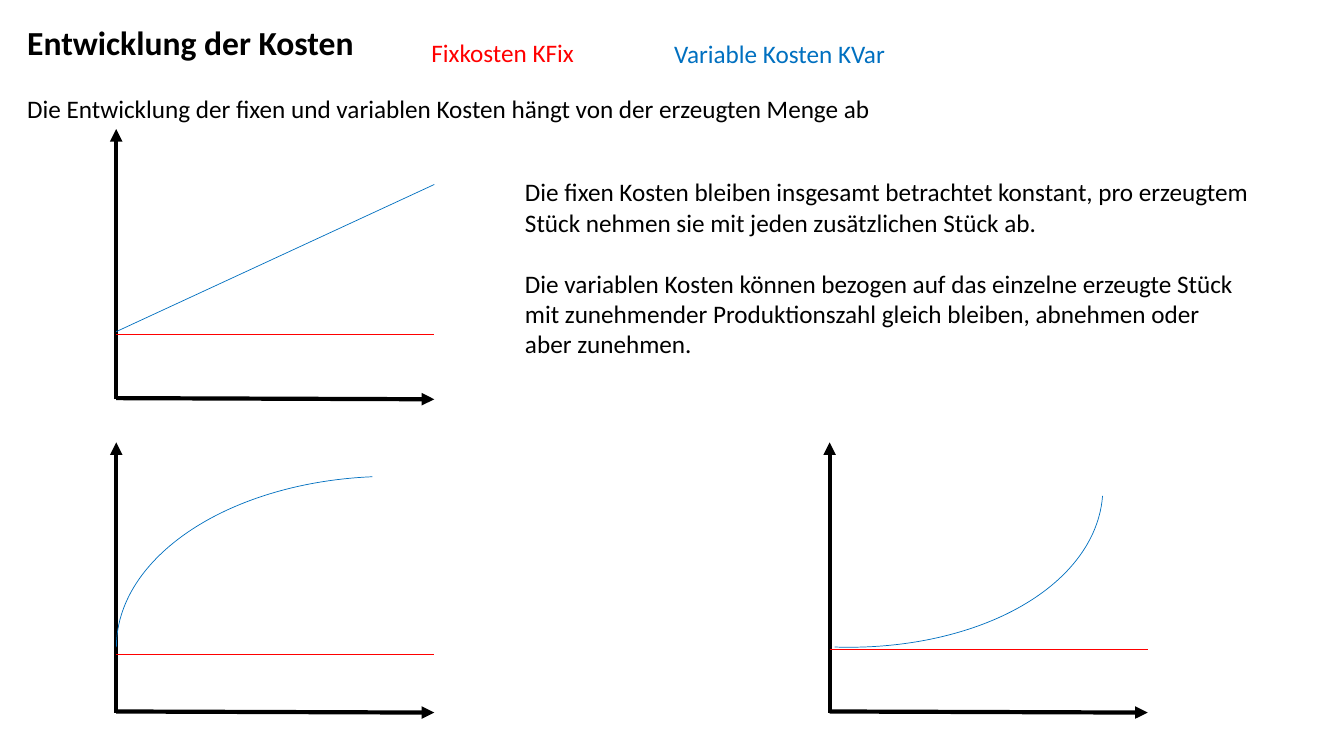
from lxml import etree
from pptx import Presentation
from pptx.dml.color import RGBColor
from pptx.enum import shapes, text
from pptx.oxml import ns
from pptx.util import Pt

BLACK = RGBColor(0x00, 0x00, 0x00)
RED = RGBColor(0xFF, 0x00, 0x00)
BLUE = RGBColor(0x00, 0x70, 0xC0)


def add_line(parent, start, end, color, width, arrow=False):
    """Draw a straight line without shadow, with an arrowhead at its end if asked."""
    line = parent.add_connector(shapes.MSO_CONNECTOR.STRAIGHT,
                                *[Pt(value) for value in start + end])
    line.line.color.rgb = color
    line.line.width = Pt(width)
    if arrow:
        etree.SubElement(line.line._get_or_add_ln(), ns.qn("a:tailEnd"), type="triangle")
    etree.SubElement(line._element.spPr, ns.qn("a:effectLst"))


def write(frame, lines, color, gap=22):
    """Write left-aligned paragraphs, one blank line's height apart."""
    frame.word_wrap = True
    frame.vertical_anchor = text.MSO_ANCHOR.TOP
    frame.auto_size = text.MSO_AUTO_SIZE.SHAPE_TO_FIT_TEXT
    frame.text = "\n".join(lines)
    for index, paragraph in enumerate(frame.paragraphs):
        paragraph.alignment = text.PP_ALIGN.LEFT
        paragraph.space_before = Pt(gap if index else 0)
        paragraph.font.name = "Calibri"
        paragraph.font.size = Pt(18)
        paragraph.font.bold = False
        paragraph.font.color.rgb = color


prs = Presentation()
prs.slide_width, prs.slide_height = Pt(960), Pt(540)
slide = prs.slides.add_slide(prs.slide_layouts[5])

# Heading and introduction
title = slide.shapes.title
title.left, title.top, title.width, title.height = Pt(12.2), Pt(12.2), Pt(934), Pt(80)
write(title.text_frame, [
    "Entwicklung der Kosten",
    "Die Entwicklung der fixen und variablen Kosten hängt von der erzeugten Menge ab",
], BLACK)
heading = title.text_frame.paragraphs[0]
heading.font.size = Pt(24)
heading.font.bold = True

# Axes and fixed cost line: origin x, origin y, height of the fixed costs
AXIS_WIDTH, AXIS_HEIGHT = 227.2, 193
diagrams = [(83, 285.2, 46.2), (592.6, 509, 45.3), (83, 509, 41.7)]
for x, y, _ in diagrams:
    axes = slide.shapes.add_group_shape().shapes
    add_line(axes, (x, y - 0.8), (x + AXIS_WIDTH, y), BLACK, 3, arrow=True)
    add_line(axes, (x, y), (x, y - AXIS_HEIGHT), BLACK, 3, arrow=True)
for x, y, fixed in diagrams:
    add_line(slide.shapes, (x, y - fixed), (x + AXIS_WIDTH, y - fixed), RED, 0.5)

# Variable costs: proportional, degressive, progressive
add_line(slide.shapes, (83, 236.9), (83 + AXIS_WIDTH, 131.8), BLUE, 0.5)
for left, top, rotation in [(157, 266.4, 270), (470.2, 144, 94.2)]:
    curve = slide.shapes.add_shape(shapes.MSO_SHAPE.ARC,
                                   Pt(left), Pt(top), Pt(244), Pt(391.7))
    curve.rotation = rotation
    curve.adjustments[0] = 162
    curve.adjustments[1] = 212.36
    curve.fill.background()
    curve.line.color.rgb = BLUE
    curve.line.width = Pt(0.5)
    curve.shadow.inherit = False

# Legend and explanation
for left, top, width, height, color, lines in [
    (301, 23.2, 117.4, 29, RED, ["Fixkosten KFix"]),
    (474.5, 23.6, 183.6, 29, BLUE, ["Variable Kosten KVar"]),
    (367.9, 122.6, 533.5, 138.2, BLACK, [
        "Die fixen Kosten bleiben insgesamt betrachtet konstant, pro erzeugtem "
        "Stück nehmen sie mit jeden zusätzlichen Stück ab.",
        "Die variablen Kosten können bezogen auf das einzelne erzeugte Stück mit "
        "zunehmender Produktionszahl gleich bleiben, abnehmen oder aber zunehmen.",
    ]),
]:
    label = slide.shapes.add_textbox(Pt(left), Pt(top), Pt(width), Pt(height))
    write(label.text_frame, lines, color)

prs.save("out.pptx")
